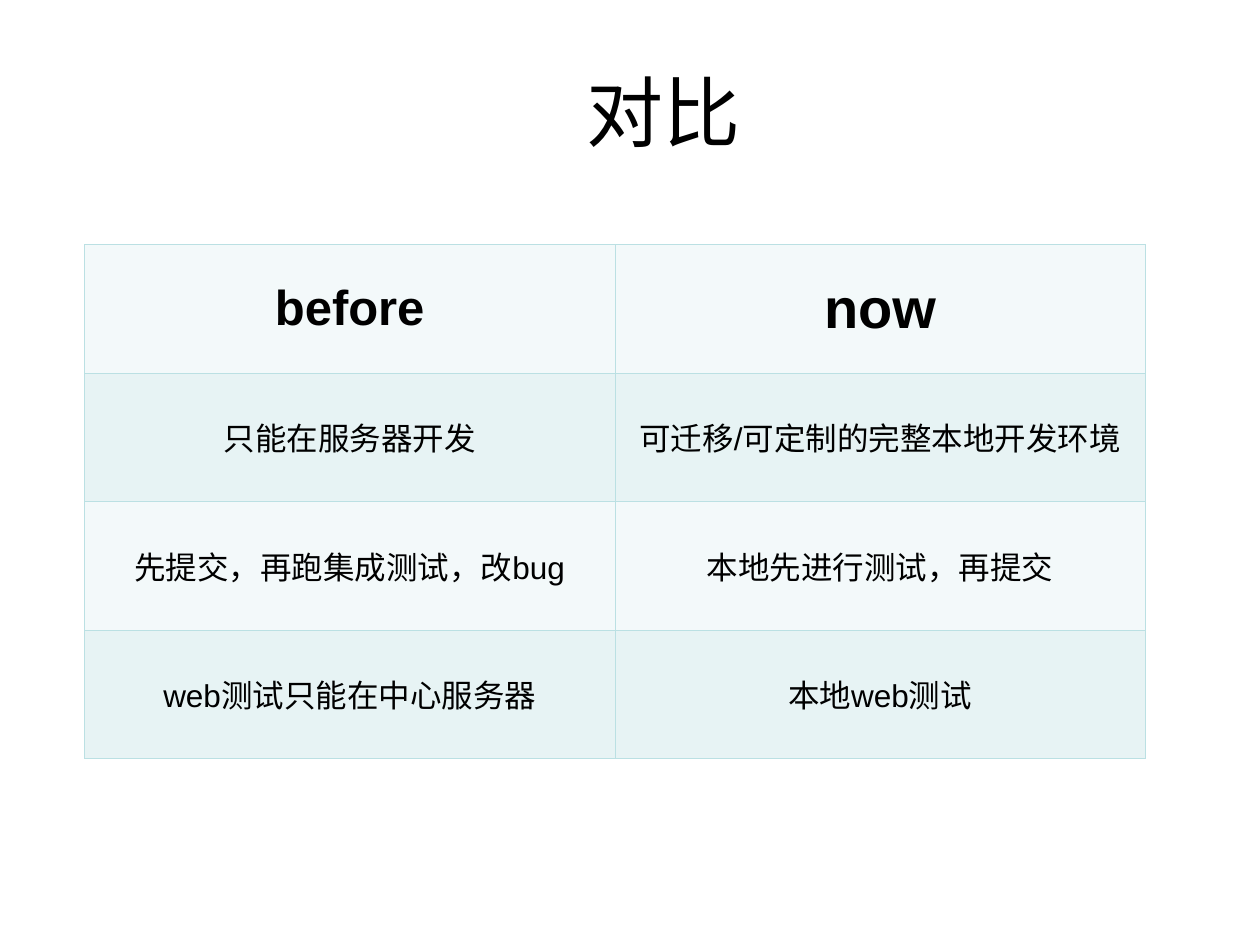
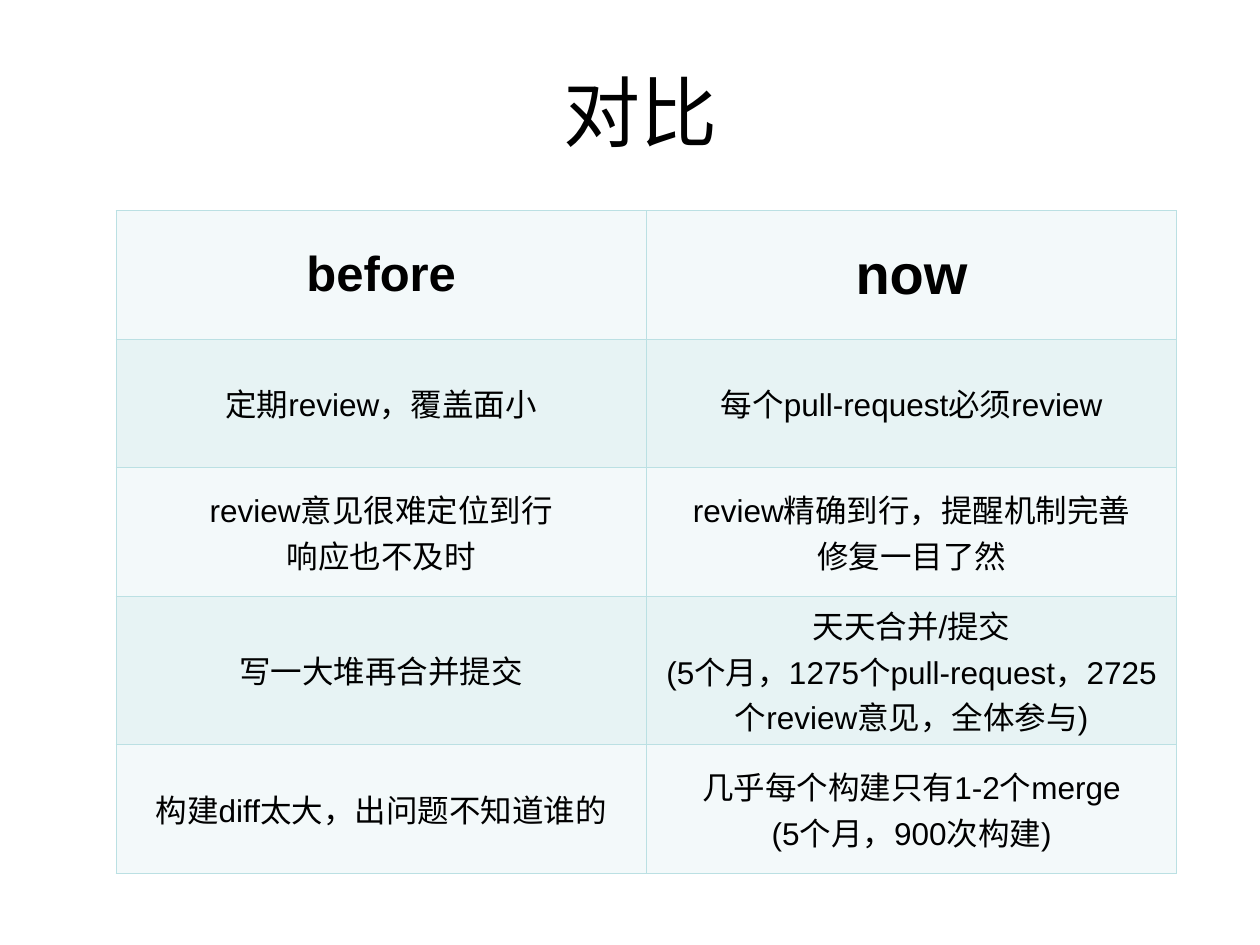
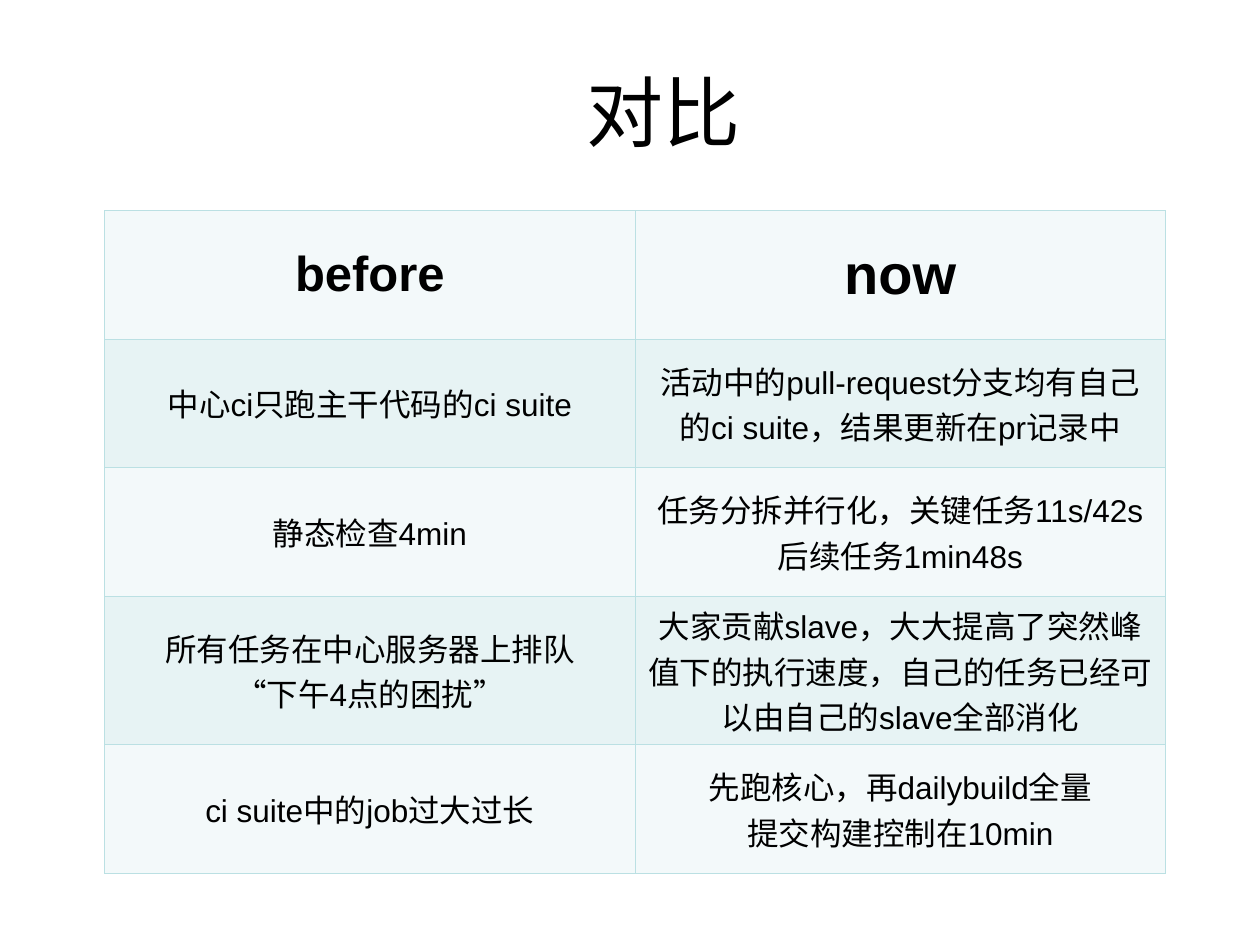
"""Build three slides that compare work before and now."""
from collections import namedtuple

from lxml import etree
from pptx import Presentation
from pptx.dml.color import RGBColor
from pptx.enum.text import MSO_ANCHOR, PP_ALIGN
from pptx.oxml.ns import qn
from pptx.util import Inches, Pt

CENTER = PP_ALIGN.CENTER
MIDDLE = MSO_ANCHOR.MIDDLE

Theme = namedtuple("Theme", "font ink line light dark title before now body")
theme = Theme("Arial", "000000", "BBE0E3", "F3F9FA", "E7F3F4", 44, 28, 32, 18)

TITLE = "对比"
HEAD = ("before", "now")
COL = 4.21
ROW, TALL = 1.02, 1.18
SIDES = ("a:lnL", "a:lnR", "a:lnT", "a:lnB")

slides = [
    (1.61, 0.67, 1.94, None, [
        ("只能在服务器开发", "可迁移/可定制的完整本地开发环境"),
        ("先提交，再跑集成测试，改bug", "本地先进行测试，再提交"),
        ("web测试只能在中心服务器", "本地web测试"),
    ]),
    (1.42, 0.92, 1.67, 3, [
        ("定期review，覆盖面小", "每个pull-request必须review"),
        ("review意见很难定位到行\n响应也不及时",
         "review精确到行，提醒机制完善\n修复一目了然"),
        ("写一大堆再合并提交",
         "天天合并/提交\n(5个月，1275个pull-request，2725个review意见，全体参与)"),
        ("构建diff太大，出问题不知道谁的",
         "几乎每个构建只有1-2个merge\n(5个月，900次构建)"),
    ]),
    (1.61, 0.83, 1.67, 3, [
        ("中心ci只跑主干代码的ci suite",
         "活动中的pull-request分支均有自己的ci suite，结果更新在pr记录中"),
        ("静态检查4min", "任务分拆并行化，关键任务11s/42s\n后续任务1min48s"),
        ("所有任务在中心服务器上排队\n“下午4点的困扰”",
         "大家贡献slave，大大提高了突然峰值下的执行速度，自己的任务已经可以由自己的slave全部消化"),
        ("ci suite中的job过大过长",
         "先跑核心，再dailybuild全量\n提交构建控制在10min"),
    ]),
]


def write(frame, text, size, bold=False):
    for i, line in enumerate(text.split("\n")):
        para = frame.add_paragraph() if i else frame.paragraphs[0]
        para.alignment = CENTER
        run = para.add_run()
        run.text = line
        run.font.name = theme.font
        run.font.size = Pt(size)
        run.font.bold = bold
        run.font.color.rgb = RGBColor.from_string(theme.ink)


def border(cell):
    props = cell._tc.get_or_add_tcPr()
    for i, side in enumerate(SIDES):
        line = etree.Element(qn(side), w=str(Pt(0.45)))
        fill = etree.SubElement(line, qn("a:solidFill"))
        etree.SubElement(fill, qn("a:srgbClr"), val=theme.line)
        props.insert(i, line)


deck = Presentation()
deck.slide_width, deck.slide_height = Inches(10), Inches(7.5)

for title_x, left, top, tall, body in slides:
    slide = deck.slides.add_slide(deck.slide_layouts[6])
    title = slide.shapes.add_textbox(
        Inches(title_x), Inches(0.52), Inches(7.32), Inches(0.71)).text_frame
    title.word_wrap = True
    title.vertical_anchor = MIDDLE
    write(title, TITLE, theme.title)

    rows = [HEAD] + body
    highs = [TALL if r == tall else ROW for r in range(len(rows))]
    table = slide.shapes.add_table(
        len(rows), len(HEAD), Inches(left), Inches(top),
        Inches(COL * len(HEAD)), Inches(sum(highs))).table
    table.first_row = table.horz_banding = False
    for r, row in enumerate(rows):
        table.rows[r].height = Inches(highs[r])
        shade = theme.dark if r % 2 else theme.light
        sizes = (theme.body, theme.body) if r else (theme.before, theme.now)
        for c, text in enumerate(row):
            cell = table.cell(r, c)
            cell.vertical_anchor = MIDDLE
            cell.fill.solid()
            cell.fill.fore_color.rgb = RGBColor.from_string(shade)
            border(cell)
            write(cell.text_frame, text, sizes[c], bold=r == 0)

deck.save("out.pptx")
